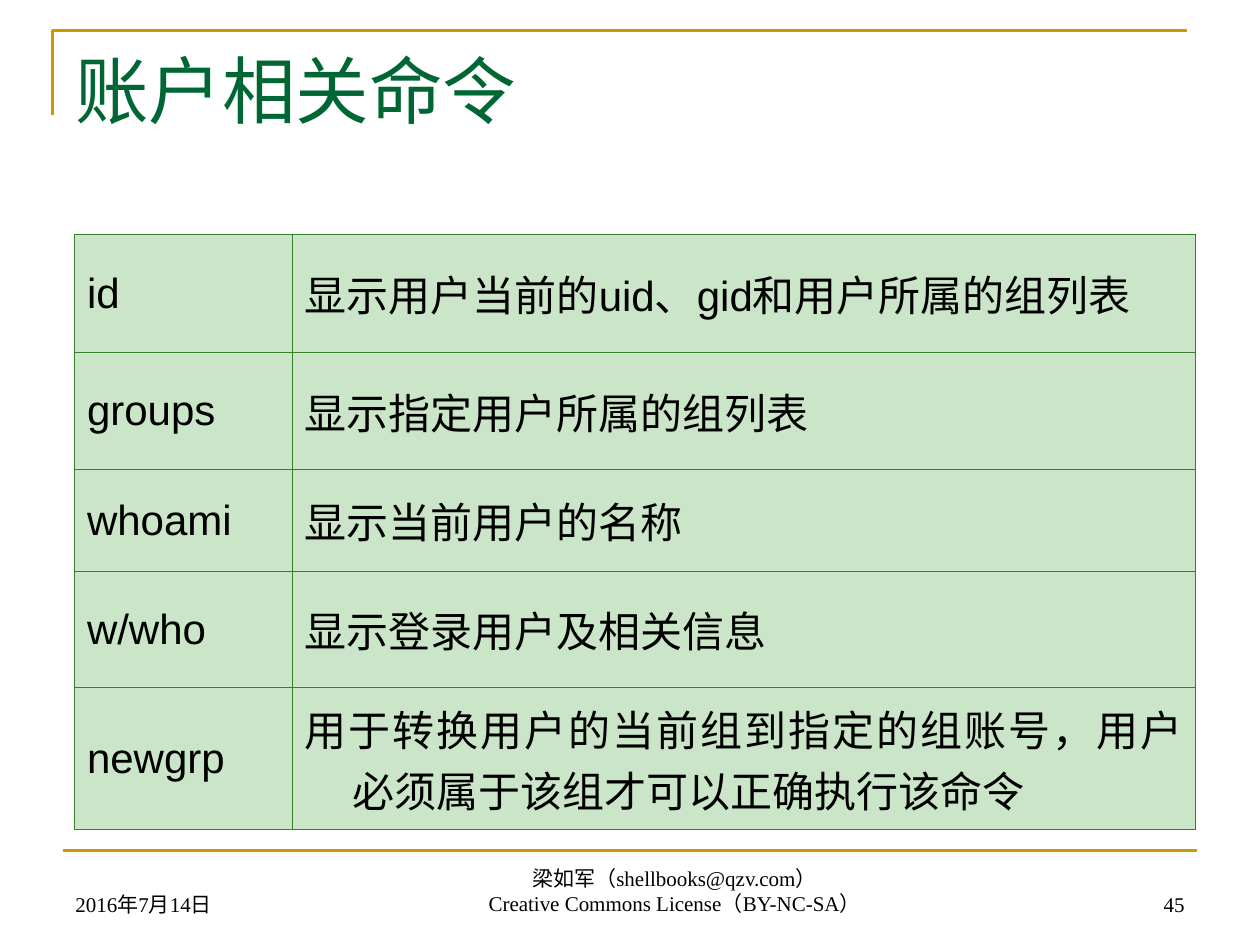
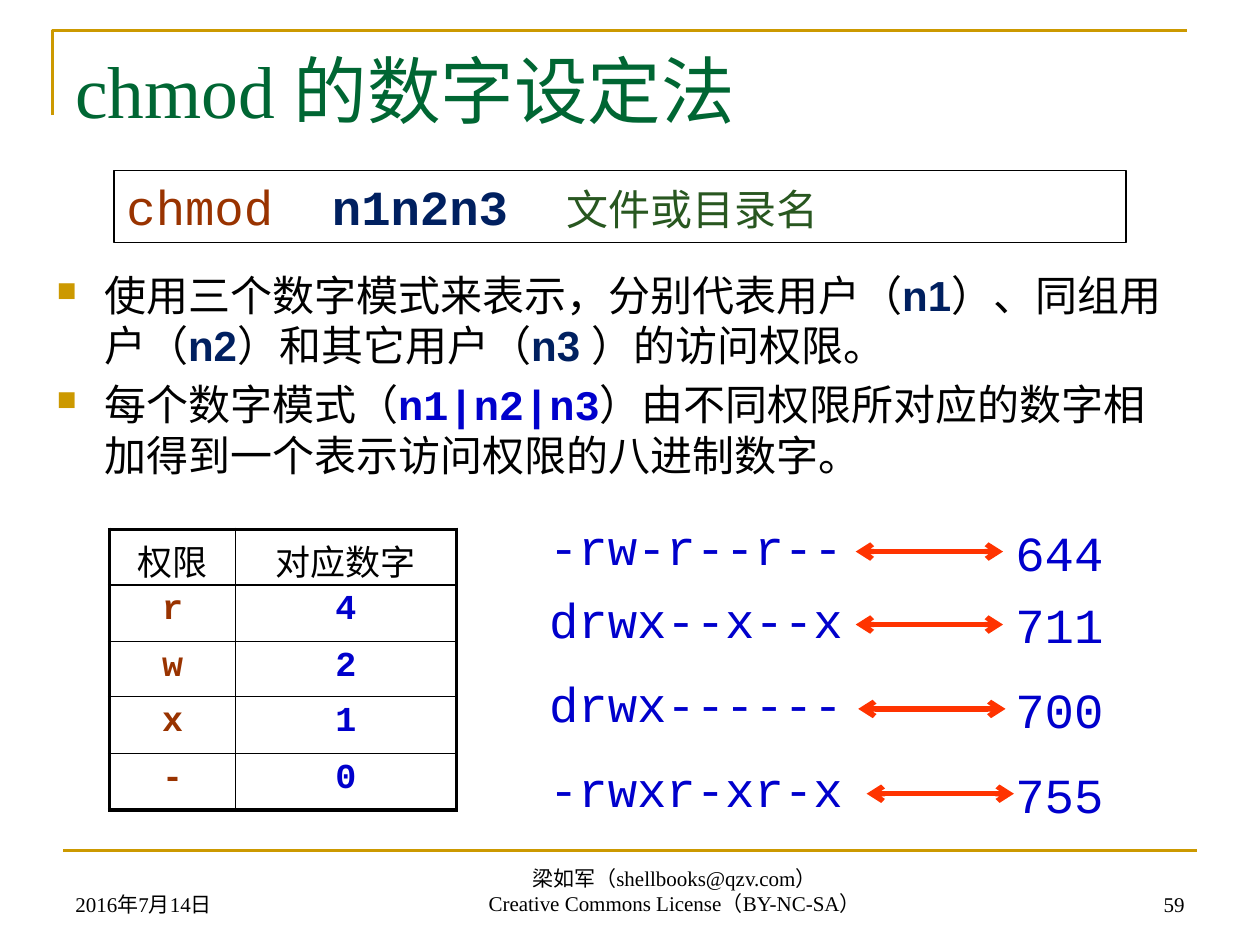
from pptx import Presentation
from pptx.dml.color import RGBColor
from pptx.enum.shapes import MSO_CONNECTOR, MSO_SHAPE
from pptx.enum.text import MSO_ANCHOR, MSO_AUTO_SIZE, PP_ALIGN
from pptx.oxml import parse_xml
from pptx.oxml.ns import nsdecls
from pptx.util import Cm, Pt

INK = {
    "gold": "CC9900", "green": "006633", "black": "000000", "leaf": "CBE5C8",
    "edge": "38802C", "navy": "002060", "blue": "0000CC", "rust": "993300",
    "moss": "285720", "red": "FF3300",
}
SERIF, SANS, MONO = "Times New Roman", "Arial", "Courier New"
WIDE, TALL = 25.4, 19.05
DATE = "2016年7月14日"
CREDIT = ["梁如军（shellbooks@qzv.com）", "Creative Commons License（BY-NC-SA）"]
LEFT, MID, RIGHT, FULL = PP_ALIGN.LEFT, PP_ALIGN.CENTER, PP_ALIGN.RIGHT, PP_ALIGN.JUSTIFY
TOP, CORE, BASE = MSO_ANCHOR.TOP, MSO_ANCHOR.MIDDLE, MSO_ANCHOR.BOTTOM


def tint(name):
    return RGBColor.from_string(INK[name])


def node(xml):
    return parse_xml(xml.replace(" ", f" {nsdecls('a')} ", 1))


def write(frame, text, size=24, font=SANS, color="black", bold=False, align=LEFT,
          hang=0, before=0, bullet=None):
    paras = text if isinstance(text, list) else [text]
    for i, runs in enumerate(paras):
        para = frame.add_paragraph() if i else frame.paragraphs[0]
        para.alignment = align
        if before:
            para.space_before = Pt(before)
        props = para._p.get_or_add_pPr()
        if hang:
            props.set("marL", str(Cm(hang)))
            props.set("indent", str(-Cm(hang)))
        if bullet:
            props.append(node(f'<a:buClr ><a:srgbClr val="{INK["gold"]}"/></a:buClr>'))
            props.append(node('<a:buSzPct val="65000"/>'))
            props.append(node(f'<a:buChar char="{bullet}"/>'))
        for part in [(runs, {})] if isinstance(runs, str) else runs:
            words, own = part
            look = {"size": size, "font": font, "color": color, "bold": bold, **own}
            run = para.add_run()
            run.text = words
            run.font.size = Pt(look["size"])
            run.font.name = look["font"]
            run.font.bold = look["bold"]
            run.font.color.rgb = tint(look["color"])


def label(slide, box, text, anchor=TOP, wrap=True, **look):
    shape = slide.shapes.add_textbox(*map(Cm, box))
    frame = shape.text_frame
    frame.word_wrap = wrap
    frame.vertical_anchor = anchor
    if not wrap:
        frame.auto_size = MSO_AUTO_SIZE.SHAPE_TO_FIT_TEXT
    write(frame, text, **look)
    return shape


def rule(slide, start, end, color="gold", width=1.5, heads=False):
    line = slide.shapes.add_connector(MSO_CONNECTOR.STRAIGHT, *map(Cm, start + end))
    line.line.color.rgb = tint(color)
    line.line.width = Pt(width)
    line._element.spPr.append(node("<a:effectLst />"))
    if heads:
        for side in ("headEnd", "tailEnd"):
            line.line._get_or_add_ln().append(node(f'<a:{side} type="arrow"/>'))
    return line


def corner(slide, box):
    x, y, w, h = box
    build = slide.shapes.build_freeform(Cm(x), Cm(y + h))
    build.add_line_segments([(Cm(x), Cm(y)), (Cm(x + w), Cm(y))], close=False)
    shape = build.convert_to_shape()
    shape.shadow.inherit = False
    shape.fill.background()
    shape.line.color.rgb = tint("gold")
    shape.line.width = Pt(1.5)


def footer(slide, box, page):
    x, y, w, h = box
    side = 5.92
    look = {"size": 12, "font": SERIF, "anchor": BASE}
    rule(slide, (x, y - 0.2), (x + w, y - 0.2))
    label(slide, (x, y, side, h), DATE, **look)
    label(slide, (x + 4.83, y - 0.03, 15, h), CREDIT, align=MID, **look)
    label(slide, (x + w - side, y, side, h), str(page), align=RIGHT, **look)


def base(deck, title, page):
    slide = deck.slides.add_slide(deck.slide_layouts[6])
    corner(slide, (1.06, 0.62, 22.86, 1.7))
    label(slide, (1.27, 0.78, 22.86, 3.18), title, size=42, font=SERIF, color="green")
    footer(slide, (1.27, 17.34, 22.86, 1.27), page)
    return slide


def grid(slide, spot, cols, rows, across, down, edge):
    shape = slide.shapes.add_table(
        len(rows), len(cols), *map(Cm, spot + (sum(cols), sum(rows))))
    table = shape.table
    table.first_row = table.horz_banding = False
    for c, wide in enumerate(cols):
        table.columns[c].width = Cm(wide)
    for r, high in enumerate(rows):
        table.rows[r].height = Cm(high)
        for c in range(len(cols)):
            cell = table.cell(r, c)
            cell.fill.background()
            props = cell._tc.get_or_add_tcPr()
            sides = {"L": down[c], "R": down[c + 1], "T": across[r], "B": across[r + 1]}
            for i, (side, width) in enumerate(sides.items()):
                props.insert(i, node(
                    f'<a:ln{side} w="{Pt(width)}"><a:solidFill>'
                    f'<a:srgbClr val="{INK[edge]}"/></a:solidFill></a:ln{side}>'))
    return table


def tools(slide, spot):
    data = [
        ("id", "显示用户当前的uid、gid和用户所属的组列表"),
        ("groups", "显示指定用户所属的组列表"),
        ("whoami ", "显示当前用户的名称"),
        ("w/who", "显示登录用户及相关信息"),
        ("newgrp", "用于转换用户的当前组到指定的组账号，用户必须属于该组才可以正确执行该命令"),
    ]
    table = grid(slide, spot, (4.39, 18.21), (2.39, 2.36, 2.05, 2.34, 2.86),
                 [0.75] * 6, [0.75] * 3, "edge")
    for r, row in enumerate(data):
        for c, words in enumerate(row):
            cell = table.cell(r, c)
            cell.fill.solid()
            cell.fill.fore_color.rgb = tint("leaf")
            cell.vertical_anchor = CORE
            write(cell.text_frame, words, align=FULL, hang=0.96)


def syntax(slide, box):
    shape = slide.shapes.add_shape(MSO_SHAPE.RECTANGLE, *map(Cm, box))
    shape.shadow.inherit = False
    shape.fill.background()
    shape.line.color.rgb = tint("black")
    shape.line.width = Pt(0.75)
    shape.text_frame.word_wrap = True
    shape.text_frame.vertical_anchor = TOP
    write(shape.text_frame, [[
        ("chmod  ", {"color": "rust"}),
        ("n1n2n3  ", {"color": "navy", "bold": True}),
        ("文件或目录名", {"color": "moss", "size": 24}),
    ]], size=28, font=MONO)


def notes(slide, box):
    key = {"color": "navy", "bold": True}
    code = {"color": "blue", "bold": True, "font": MONO}
    label(slide, box, [
        [("使用三个数字模式来表示，分别代表用户（", {}), ("n1", key),
         ("）、同组用户（", {}), ("n2", key), ("）和其它用户（", {}),
         ("n3 ", key), ("）的访问权限。", {})],
        [("每个数字模式（", {}), ("n1|n2|n3", code),
         ("）由不同权限所对应的数字相加得到一个表示访问权限的八进制数字。", {})],
    ], hang=0.96, before=4.8, bullet="■")


def digits(slide, spot):
    data = [("权限", "对应数字"), ("r", "4"), ("w", "2"), ("x", "1"), ("-", "0")]
    table = grid(slide, spot, (2.54, 4.45), (1.12, 1.15, 1.1, 1.15, 1.14),
                 (2.25, 1, 0.5, 0.5, 0.5, 2.25), (2.25, 1, 2.25), "black")
    for r, row in enumerate(data):
        for c, words in enumerate(row):
            cell = table.cell(r, c)
            cell.margin_top = Cm(0.12)
            cell.margin_bottom = 0
            look = {"font": MONO, "bold": True, "color": ("rust", "blue")[c]}
            write(cell.text_frame, words, size=20, align=MID,
                  **(look if r else {"font": SERIF}))


def pairs(slide, spot):
    x, y = spot
    data = [
        ("-rw-r--r--", "644", 0, 0),
        ("drwx--x--x", "711", 1.47, 0),
        ("drwx------", "700", 3.17, 0.05),
        ("-rwxr-xr-x", "755", 4.88, 0.22),
    ]
    look = {"size": 28, "font": MONO, "color": "blue", "wrap": False}
    for mode, octal, drop, shift in data:
        top = y + drop
        label(slide, (x, top, 6.43, 1.44), mode, **look)
        value = label(slide, (x + 9.4, top + 0.12, 2.29, 1.44), octal, **look)
        left, level = x + 6.43 + shift, top + 0.84
        arrow = rule(slide, (left, level), (left + 2.97, level), "red", 3, True)
        if not shift:
            arrow.end_connect(value, 1)


def main():
    deck = Presentation()
    deck.slide_width, deck.slide_height = Cm(WIDE), Cm(TALL)
    tools(base(deck, "账户相关命令", 45), (1.5, 4.72))
    slide = base(deck, "chmod 的数字设定法", 59)
    notes(slide, (0.89, 5.31, 22.86, 4.29))
    syntax(slide, (2.3, 3.44, 20.4, 1.45))
    digits(slide, (2.21, 10.67))
    pairs(slide, (10.82, 10.28))
    deck.save("out.pptx")


if __name__ == "__main__":
    main()
